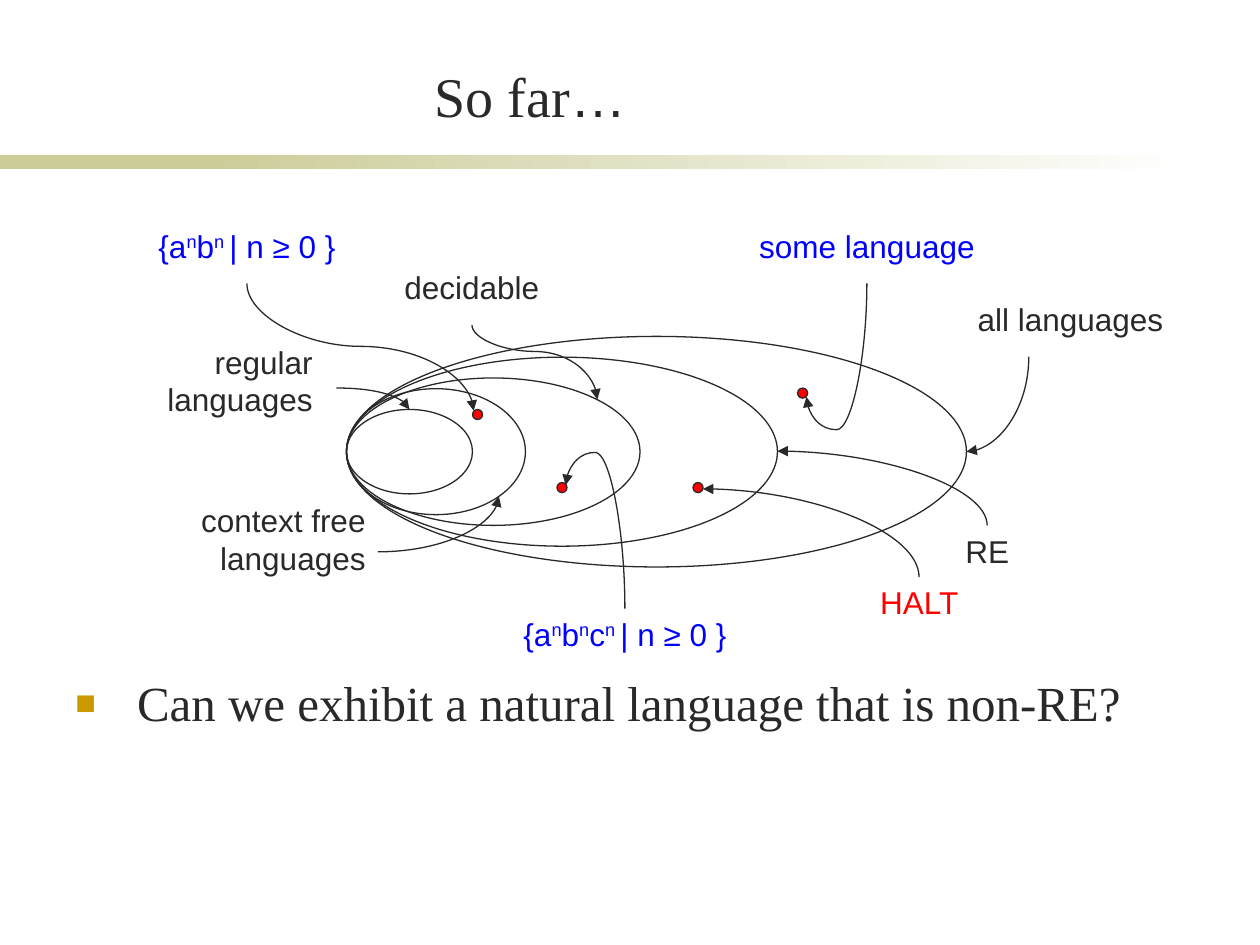
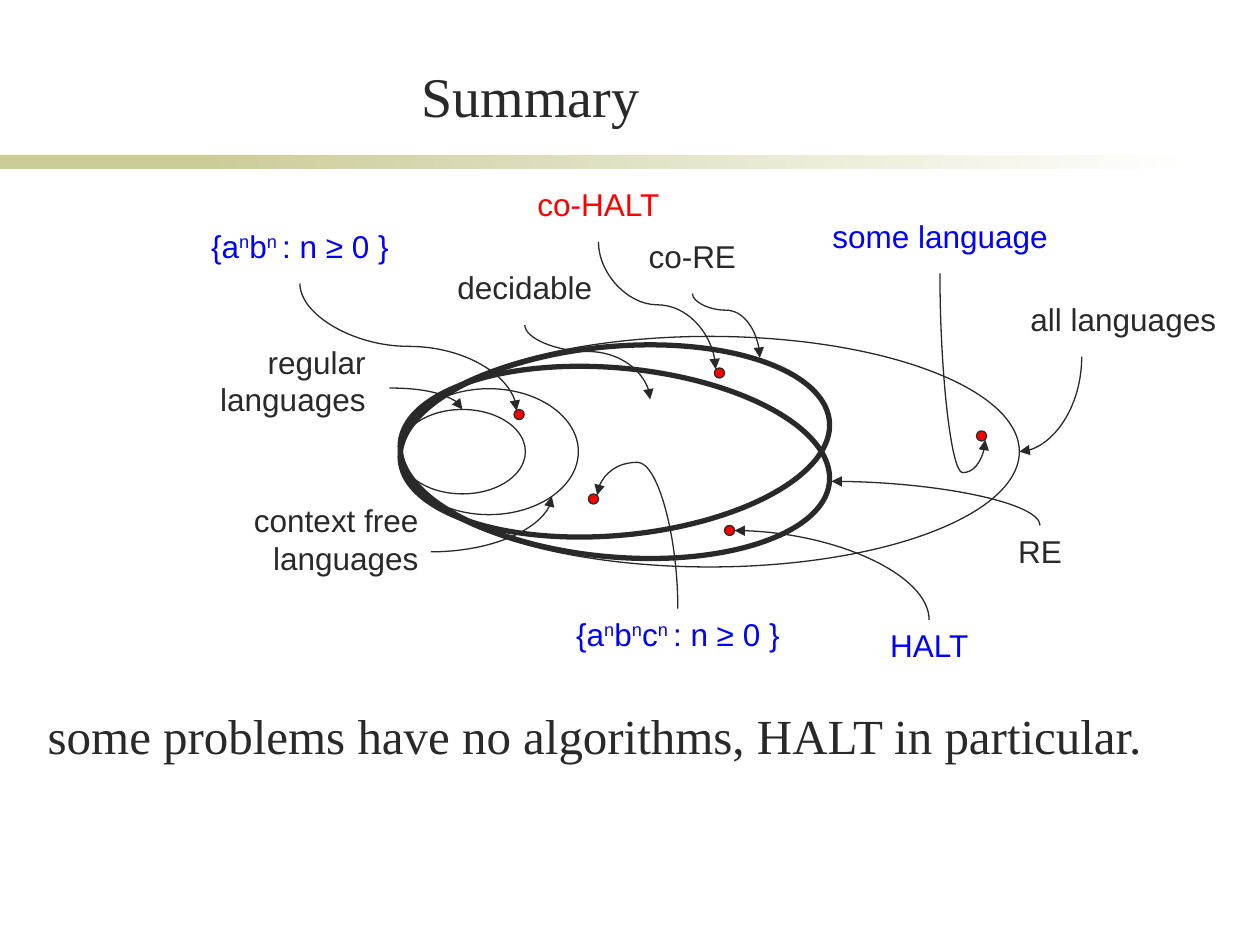
from lxml.etree import SubElement
from pptx import Presentation
from pptx.dml.color import RGBColor
from pptx.enum.shapes import MSO_CONNECTOR, MSO_SHAPE
from pptx.enum.text import MSO_ANCHOR, MSO_AUTO_SIZE, PP_ALIGN
from pptx.oxml.ns import qn
from pptx.util import Inches, Pt

INK = RGBColor(0x29, 0x29, 0x29)
BLUE = RGBColor(0x00, 0x00, 0xFF)
RED = RGBColor(0xFF, 0x00, 0x00)
SAND = RGBColor(0xCC, 0xCC, 0x99)
WHITE = RGBColor(0xFF, 0xFF, 0xFF)
GOLD = "CC9900"
SERIF, SANS = "Times New Roman", "Arial"
TALL = 0.5  # height of a one-line label
DOT = 0.08


def style(para, face, size, color, align):
    para.font.name, para.font.size = face, Pt(size)
    para.font.color.rgb = color
    para.alignment = align


def band(slide):
    for left, width in ((0, 2.33), (1.58, 7.92)):
        bar = slide.shapes.add_shape(MSO_SHAPE.RECTANGLE, Inches(left),
                                     Inches(1.23), Inches(width), Inches(0.11))
        bar.shadow.inherit = False
        bar.line.fill.background()
        if left == 0:
            bar.fill.solid()
            bar.fill.fore_color.rgb = SAND
        else:
            bar.fill.gradient()
            bar.fill.gradient_angle = 0
            for stop, color in zip(bar.fill.gradient_stops, (SAND, WHITE)):
                stop.color.rgb = color


def start(deck, words, tail=""):
    """Add a slide with its band and title; the tail is set in the sans face."""
    slide = deck.slides.add_slide(deck.slide_layouts[5])
    band(slide)
    title = slide.shapes.title
    title.left, title.top = Inches(1.14), Inches(0.44)
    title.width, title.height = Inches(6.14), Inches(0.63)
    frame = title.text_frame
    frame.auto_size = MSO_AUTO_SIZE.NONE
    frame.vertical_anchor = MSO_ANCHOR.BOTTOM
    para = frame.paragraphs[0]
    para.add_run().text = words
    if tail:
        run = para.add_run()
        run.text = tail
        run.font.name = SANS
    style(para, SERIF, 32, INK, PP_ALIGN.CENTER)
    return slide


def write(slide, left, top, width, height):
    """Add a wrapping text box and give its first paragraph."""
    box = slide.shapes.add_textbox(Inches(left), Inches(top),
                                   Inches(width), Inches(height))
    box.text_frame.word_wrap = True
    return box.text_frame.paragraphs[0]


def bullet(para):
    props = para._p.get_or_add_pPr()
    props.set("marL", str(Inches(0.49)))
    props.set("indent", str(Inches(-0.49)))
    SubElement(SubElement(props, qn("a:buClr")), qn("a:srgbClr"), val=GOLD)
    SubElement(props, qn("a:buSzPct"), val="70000")
    SubElement(props, qn("a:buFont"), typeface=SANS)
    SubElement(props, qn("a:buChar"), char="■")


class Map:
    """Diagram of language classes, placed relative to the outermost ring."""

    def __init__(self, slide, left, top, width, height):
        self.slide, self.left, self.top = slide, left, top
        self.width, self.height = width, height

    def oval(self, x, y, width, height, weight=0.75, turn=0):
        oval = self.slide.shapes.add_shape(
            MSO_SHAPE.OVAL, Inches(self.left + x), Inches(self.top + y),
            Inches(width), Inches(height))
        oval.shadow.inherit = False
        oval.fill.background()
        oval.line.color.rgb, oval.line.width = INK, Pt(weight)
        oval.rotation = turn
        return oval

    def ring(self, width, height):
        self.oval(0, (self.height - height) / 2, width, height)

    def dot(self, x, y):
        dot = self.oval(x, y, DOT, DOT)
        dot.fill.solid()
        dot.fill.fore_color.rgb = RED

    def label(self, text, x, y, width, color=INK, align=PP_ALIGN.CENTER,
              height=TALL):
        """Write a label; parts between carets are raised."""
        para = write(self.slide, self.left + x, self.top + y, width, height)
        for index, part in enumerate(text.split("^")):
            run = para.add_run()
            run.text = part
            if index % 2:
                run._r.get_or_add_rPr().set("baseline", "30000")
        style(para, SANS, 18, color, align)

    def arrow(self, tail, head, bend=None, upright=True):
        """Draw a curved arrow that leaves its tail upright or level."""
        (x1, y1), (x2, y2) = tail, head
        if upright:  # lay the curve level about its centre, then turn it
            long, wide = abs(y2 - y1), abs(x2 - x1)
            mid_x, mid_y = (x1 + x2) / 2, (y1 + y2) / 2
            side = 1 if (y2 < y1) == (x2 < x1) else -1
            turn = 90 if x2 < x1 else 270
            x1, x2 = mid_x + side * long / 2, mid_x - side * long / 2
            y1, y2 = mid_y - wide / 2, mid_y + wide / 2
        line = self.slide.shapes.add_connector(
            MSO_CONNECTOR.CURVE, Inches(self.left + x1), Inches(self.top + y1),
            Inches(self.left + x2), Inches(self.top + y2))
        line.line.color.rgb, line.line.width = INK, Pt(0.75)
        props = line._element.spPr
        if upright:
            props.find(qn("a:xfrm")).set("rot", str(turn * 60000))
        shape = props.find(qn("a:prstGeom"))
        if bend is None:
            shape.set("prst", "curvedConnector2")
        else:
            SubElement(shape.find(qn("a:avLst")), qn("a:gd"), name="adj1",
                       fmla=f"val {round(bend * 100000)}")
        SubElement(props.find(qn("a:ln")), qn("a:tailEnd"), type="triangle")
        SubElement(props, qn("a:effectLst"))

    def tag(self, text, x, y, width, head, bend=None, color=INK,
            align=PP_ALIGN.CENTER):
        """Write a label with an arrow from its middle to the head."""
        self.label(text, x, y, width, color, align)
        edge = y + TALL if head[1] > y else y
        self.arrow((x + width / 2, edge), head, bend)

    def base(self, sign, pair, triple, bend, recog):
        """Draw what both maps show; sign is the set-builder mark."""
        for size in ((self.width, self.height), (1.42, 1), (1, 0.67)):
            self.ring(*size)
        right = PP_ALIGN.RIGHT
        self.label("regular languages", -2, 0, 1.83, INK, right, 0.9)
        self.arrow((-0.08, 0.41), (0.5, 0.58), upright=False)
        self.label("context free languages", -2.08, 1.26, 2.33, INK, right, 0.9)
        self.arrow((0.25, 1.71), (1.21, 1.27), upright=False)
        self.tag("all languages", 4.25, -0.34, 2.33,
                 (self.width, self.height / 2), align=right)
        self.tag("decidable", -0.17, -0.59, 2.33, (1.99, 0.5), 0.355)
        self.tag("RE", 3.92, 1.5, 2.33, recog)
        self.tag(f"{{a^n^b^n ^{sign} n ≥ 0 }}", -2.25, -0.92, 2.92, pair,
                 0.494, BLUE)
        self.tag(f"{{a^n^b^n^c^n ^{sign} n ≥ 0 }}", 0.75, 2.16, 2.92, triple,
                 bend, BLUE)


def so_far(deck):
    slide = start(deck, "So far", "…")
    para = write(slide, 0.5, 5.29, 8.94, 1.34)
    para.text = "Can we exhibit a natural language that is non-RE?"
    bullet(para)
    style(para, SERIF, 28, INK, PP_ALIGN.LEFT)

    chart = Map(slide, 2.75, 2.67, 4.92, 1.83)
    chart.base("|", (1.01, 0.59), (1.74, 1.18), 1.265, (3.42, 0.91))
    chart.ring(3.42, 1.5)
    chart.ring(2.33, 1.17)
    chart.tag("some language", 2.67, -0.92, 2.92, (3.65, 0.48), 1.29, BLUE)
    chart.tag("HALT", 3.92, 1.91, 1.25, (2.83, 1.21), color=RED)
    for spot in ((1, 0.58), (1.67, 1.16), (3.58, 0.41), (2.75, 1.16)):
        chart.dot(*spot)


def summary(deck):
    slide = start(deck, "Summary")
    para = write(slide, 0, 5.6, 9.44, 1.03)
    para.text = "some problems have no algorithms, HALT in particular."
    para.line_spacing = 0.9
    style(para, SERIF, 28, INK, PP_ALIGN.CENTER)

    chart = Map(slide, 3.17, 2.67, 4.92, 1.83)
    chart.base(":", (0.93, 0.59), (1.57, 1.26), 1.29, (3.43, 1.15))
    for y, turn in ((0.25, 5.2), (0.08, -5.2)):
        chart.oval(0, y, 3.42, 1.5, 3, turn)
    chart.tag("some language", 2.83, -1, 2.92, (4.65, 0.82), 1.198, BLUE)
    chart.tag("HALT", 3.58, 2.25, 1.25, (2.66, 1.54), color=BLUE)
    chart.tag("co-RE", 1.16, -0.84, 2.33, (2.86, 0.17), 0.259)
    chart.tag("co-HALT", 0.58, -1.25, 2, (2.51, 0.26), 0.494, RED)
    for spot in ((0.91, 0.58), (1.5, 1.25), (4.58, 0.75), (2.58, 1.5),
                 (2.5, 0.25)):
        chart.dot(*spot)


def main():
    deck = Presentation()
    deck.slide_width, deck.slide_height = Inches(10), Inches(7.5)
    so_far(deck)
    summary(deck)
    deck.save("out.pptx")


if __name__ == "__main__":
    main()
